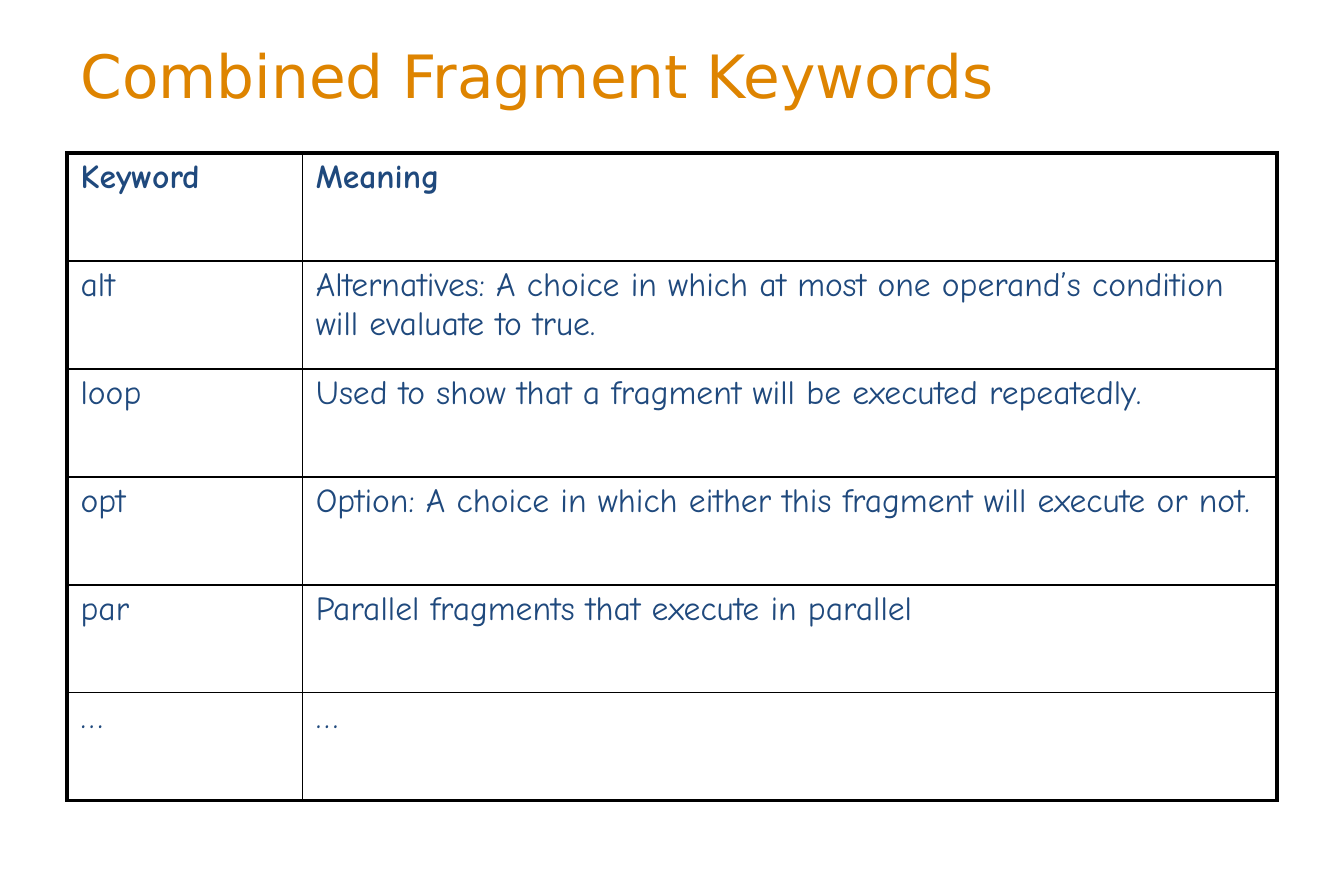
from lxml import etree
from pptx import Presentation
from pptx.dml.color import RGBColor
from pptx.enum import text
from pptx.oxml import ns
from pptx.util import Inches, Pt

ORANGE = RGBColor(0xDE, 0x84, 0x00)
NAVY = RGBColor(0x1F, 0x49, 0x7D)
WHITE = RGBColor(0xFF, 0xFF, 0xFF)
BLACK = RGBColor(0x00, 0x00, 0x00)

KEYWORDS = [
    ("Keyword", "Meaning"),
    ("alt", "Alternatives: A choice in which at most one operand’s condition will evaluate to true."),
    ("loop", "Used to show that a fragment will be executed repeatedly."),
    ("opt", "Option: A choice in which either this fragment will execute or not."),
    ("par", "Parallel fragments that execute in parallel"),
    ("…", "…"),
]


def write(frame, words, font, size, color, bold=False):
    span = frame.paragraphs[0].add_run()
    span.text = words
    span.font.name = font
    span.font.size = Pt(size)
    span.font.color.rgb = color
    span.font.bold = bold


def set_borders(cell, widths):
    """Draw the cell's edges; widths maps L, R, T and B to points."""
    properties = cell._tc.get_or_add_tcPr()
    for index, side in enumerate("LRTB"):
        line = etree.Element(ns.qn(f"a:ln{side}"), w=str(Pt(widths[side])))
        fill = etree.SubElement(line, ns.qn("a:solidFill"))
        etree.SubElement(fill, ns.qn("a:srgbClr"), val=str(BLACK))
        properties.insert(index, line)


class SlideBuilder:
    title_font = "DejaVu Sans"
    body_font = "Comic Neue"
    outer_line = 2.25
    inner_line = 1

    def __init__(self, page):
        self.page = page

    def title(self, words, left, top, width, height):
        box = self.page.shapes.add_textbox(
            Inches(left), Inches(top), Inches(width), Inches(height))
        frame = box.text_frame
        frame.word_wrap = True
        frame.vertical_anchor = text.MSO_ANCHOR.MIDDLE
        write(frame, words, self.title_font, 32, ORANGE)

    def table(self, rows, left, top, column_widths, height):
        last_row, last_column = len(rows) - 1, len(column_widths) - 1
        table = self.page.shapes.add_table(
            len(rows), len(column_widths), Inches(left), Inches(top),
            Inches(sum(column_widths)), Inches(height)).table
        table.first_row = table.horz_banding = False
        for column, width in zip(table.columns, column_widths):
            column.width = Inches(width)
        for r, row in enumerate(rows):
            for c, words in enumerate(row):
                cell = table.cell(r, c)
                cell.margin_top = cell.margin_bottom = Inches(0.04)
                cell.fill.solid()
                cell.fill.fore_color.rgb = WHITE
                write(cell.text_frame, words, self.body_font, 18, NAVY, bold=r == 0)
                outer = {"L": c == 0, "R": c == last_column,
                         "T": r == 0, "B": r == last_row}
                set_borders(cell, {
                    side: self.outer_line if is_outer else self.inner_line
                    for side, is_outer in outer.items()})


def main():
    deck = Presentation()
    deck.slide_width, deck.slide_height = Inches(10), Inches(6.67)
    builder = SlideBuilder(deck.slides.add_slide(deck.slide_layouts[6]))
    builder.title("Combined Fragment Keywords", 0.5, 0.22, 8.25, 0.67)
    builder.table(KEYWORDS, 0.5, 1.14, [1.75, 7.25], 4.82)
    deck.save("out.pptx")


if __name__ == "__main__":
    main()
